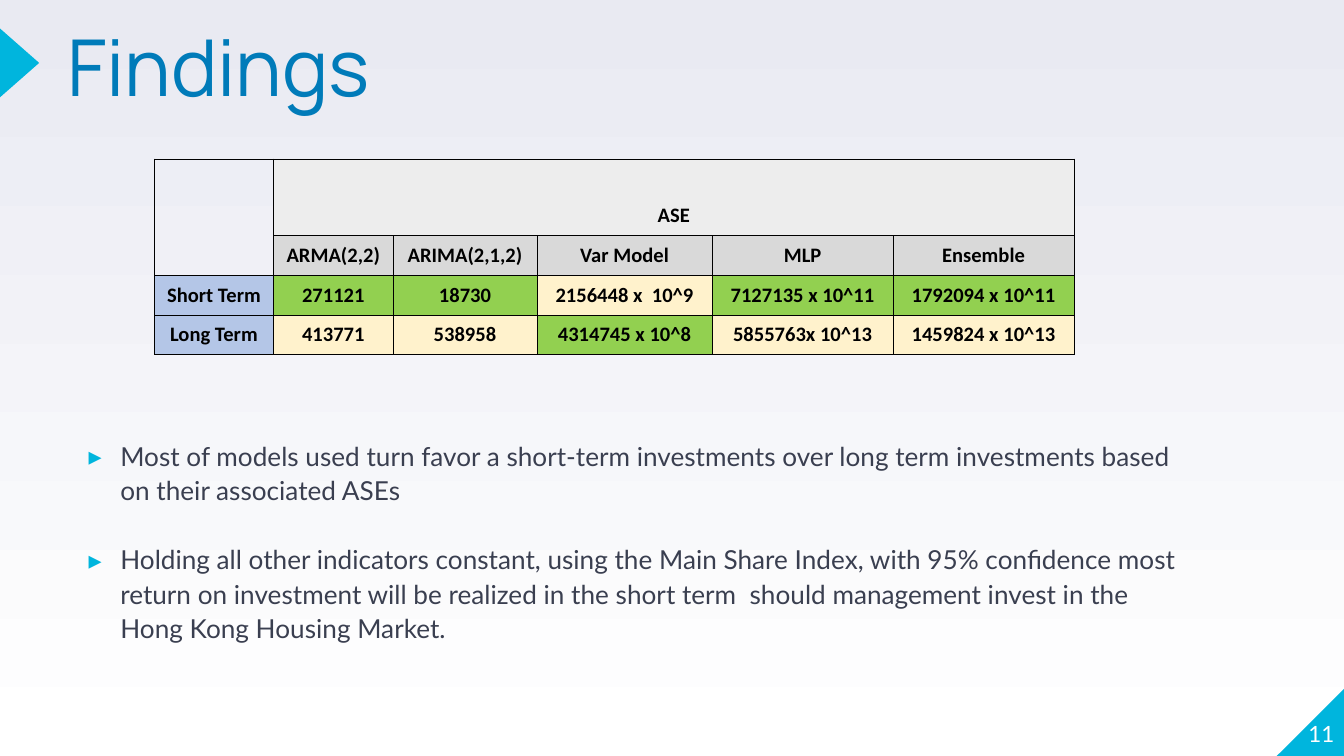
from pptx import Presentation
from pptx.dml.color import RGBColor
from pptx.enum.shapes import MSO_SHAPE as Shape
from pptx.enum.text import MSO_ANCHOR as Anchor, MSO_AUTO_SIZE as Auto, PP_ALIGN as Align
from pptx.oxml.ns import qn
from pptx.util import Cm, Pt
from lxml.etree import SubElement as Sub

WHITE = RGBColor(0xFF, 0xFF, 0xFF)
BLACK = RGBColor(0x00, 0x00, 0x00)
MIST = RGBColor(0xE9, 0xEA, 0xF2)
CYAN = RGBColor(0x00, 0xB5, 0xDD)
BLUE = RGBColor(0x00, 0x7B, 0xB9)
SLATE = RGBColor(0x3A, 0x3F, 0x50)
PALE = RGBColor(0xED, 0xED, 0xED)
GRAY = RGBColor(0xD9, 0xD9, 0xD9)
SKY = RGBColor(0xB4, 0xC6, 0xE7)
GREEN = RGBColor(0x92, 0xD0, 0x50)
CREAM = RGBColor(0xFF, 0xF2, 0xCC)


def style(para, name, size, color, bold=False):
    font = para.font
    font.name, font.size, font.bold = name, Pt(size), bold
    font.color.rgb = color


def place(shape, left, top, width, height):
    shape.left, shape.top = Cm(left), Cm(top)
    shape.width, shape.height = Cm(width), Cm(height)


prs = Presentation()
prs.slide_width, prs.slide_height = Cm(25.4), Cm(14.29)
slide = prs.slides.add_slide(prs.slide_layouts[1])
shapes = slide.shapes

# Background, white at the bottom
back = slide.background.fill
back.gradient()
back.gradient_angle = 90
for stop, color in zip(back.gradient_stops, (WHITE, MIST)):
    stop.color.rgb = color

# Corner and title marker
for kind, box, turn in (
    (Shape.RIGHT_TRIANGLE, (24.13, 12.99, 1.3, 1.3), 270),
    (Shape.ISOSCELES_TRIANGLE, (-0.28, 0.82, 1.3, 0.74), 90),
):
    mark = shapes.add_shape(kind, *map(Cm, box))
    mark.rotation = turn
    mark.shadow.inherit = False
    mark.fill.solid()
    mark.fill.fore_color.rgb = CYAN
    mark.line.fill.background()

# Title and page number
title = shapes.title
place(title, 1.27, 0.69, 20.37, 1.68)
page = shapes.add_textbox(Cm(23.95), Cm(12.83), Cm(1.27), Cm(1.3))
for shape, text, size, color, align, anchor in (
    (title, "Findings", 42, BLUE, Align.LEFT, Anchor.TOP),
    (page, "11", 12, WHITE, Align.RIGHT, Anchor.BOTTOM),
):
    frame = shape.text_frame
    frame.text = text
    frame.word_wrap, frame.auto_size = True, Auto.NONE
    frame.vertical_anchor = anchor
    frame.margin_left = frame.margin_right = 0
    frame.margin_top = frame.margin_bottom = 0
    para = frame.paragraphs[0]
    para.alignment = align
    style(para, "Manrope" if shape is title else "Lato", size, color)
title.text_frame.paragraphs[0].line_spacing = 0.8

# Table of errors by model and term
ROWS = (
    ("", "ASE", "", "", "", ""),
    ("", "ARMA(2,2)", "ARIMA(2,1,2)", "Var Model", "MLP", "Ensemble"),
    ("Short Term", "271121", "18730", "2156448 x  10^9",
     "7127135 x 10^11", "1792094 x 10^11"),
    ("Long Term", "413771", "538958", "4314745 x 10^8",
     "5855763x 10^13", "1459824 x 10^13"),
)
FILLS = (
    (None,) + (PALE,) * 5,
    (None,) + (GRAY,) * 5,
    (SKY, GREEN, GREEN, CREAM, GREEN, GREEN),
    (SKY, CREAM, CREAM, GREEN, CREAM, CREAM),
)
WIDTHS = (2.25, 2.26, 2.72, 3.31, 3.42, 3.42)
HEIGHTS = (1.45, 0.75, 0.75, 0.75)

table = shapes.add_table(4, 6, Cm(2.92), Cm(3), Cm(sum(WIDTHS)), Cm(sum(HEIGHTS))).table
table.first_row = table.horz_banding = False
for col, width in zip(table.columns, WIDTHS):
    col.width = Cm(width)
for row, height in zip(table.rows, HEIGHTS):
    row.height = Cm(height)
table.cell(0, 0).merge(table.cell(1, 0))
table.cell(0, 1).merge(table.cell(0, 5))

for r, (texts, fills) in enumerate(zip(ROWS, FILLS)):
    for c, (text, color) in enumerate(zip(texts, fills)):
        cell = table.cell(r, c)
        cell.text = text
        cell.vertical_anchor = Anchor.BOTTOM
        cell.margin_left = cell.margin_right = Cm(0.03)
        cell.margin_top = cell.margin_bottom = Cm(0.13)
        para = cell.text_frame.paragraphs[0]
        para.alignment = Align.CENTER
        style(para, "Calibri", 11, BLACK, True)
        props = cell._tc.get_or_add_tcPr()
        for side in ("a:lnL", "a:lnR", "a:lnT", "a:lnB"):
            line = Sub(props, qn(side), w=str(Pt(0.23)))
            Sub(Sub(line, qn("a:solidFill")), qn("a:srgbClr"), val=str(BLACK))
        if color is None:
            cell.fill.background()
        else:
            cell.fill.solid()
            cell.fill.fore_color.rgb = color

# Conclusions
NOTES = (
    "Most of models used turn favor a short-term investments over long term "
    "investments based on their associated ASEs",
    "Holding all other indicators constant, using the Main Share Index, with 95% "
    "confidence most return on investment will be realized in the short term  "
    "should management invest in the Hong Kong Housing Market.",
)
body = slide.placeholders[1]
place(body, 1.42, 8.13, 21.08, 4.88)
frame = body.text_frame
frame.text = "\n".join(NOTES)
frame.word_wrap, frame.auto_size = True, Auto.NONE
for i, para in enumerate(frame.paragraphs):
    para.line_spacing = 1.1
    para.space_before = Pt(18.5 * i)
    props = para._p.get_or_add_pPr()
    props.set("marL", str(Cm(0.6)))
    props.set("indent", str(Cm(-0.6)))
    Sub(Sub(props, qn("a:buClr")), qn("a:srgbClr"), val=str(CYAN))
    Sub(props, qn("a:buFont"), typeface="Lato")
    Sub(props, qn("a:buChar"), char="▸")
    style(para, "Lato", 14, SLATE)

prs.save("out.pptx")
